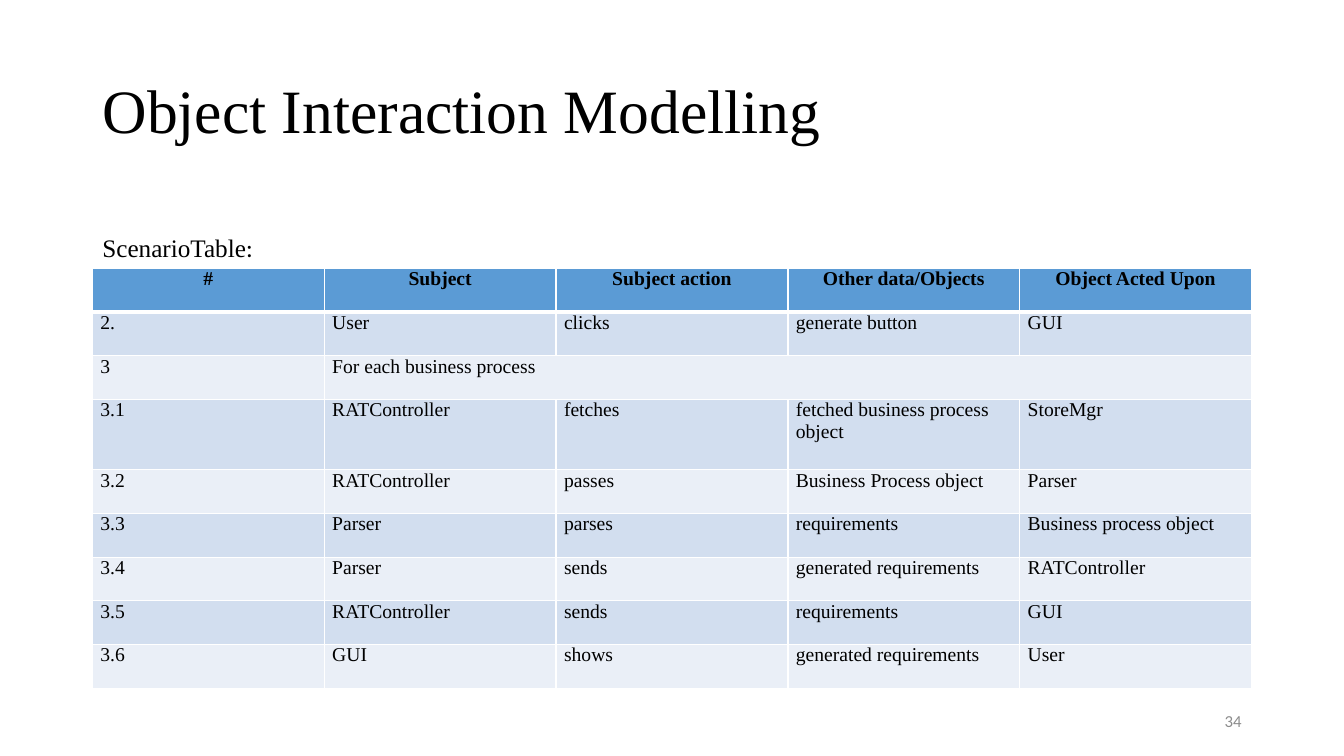
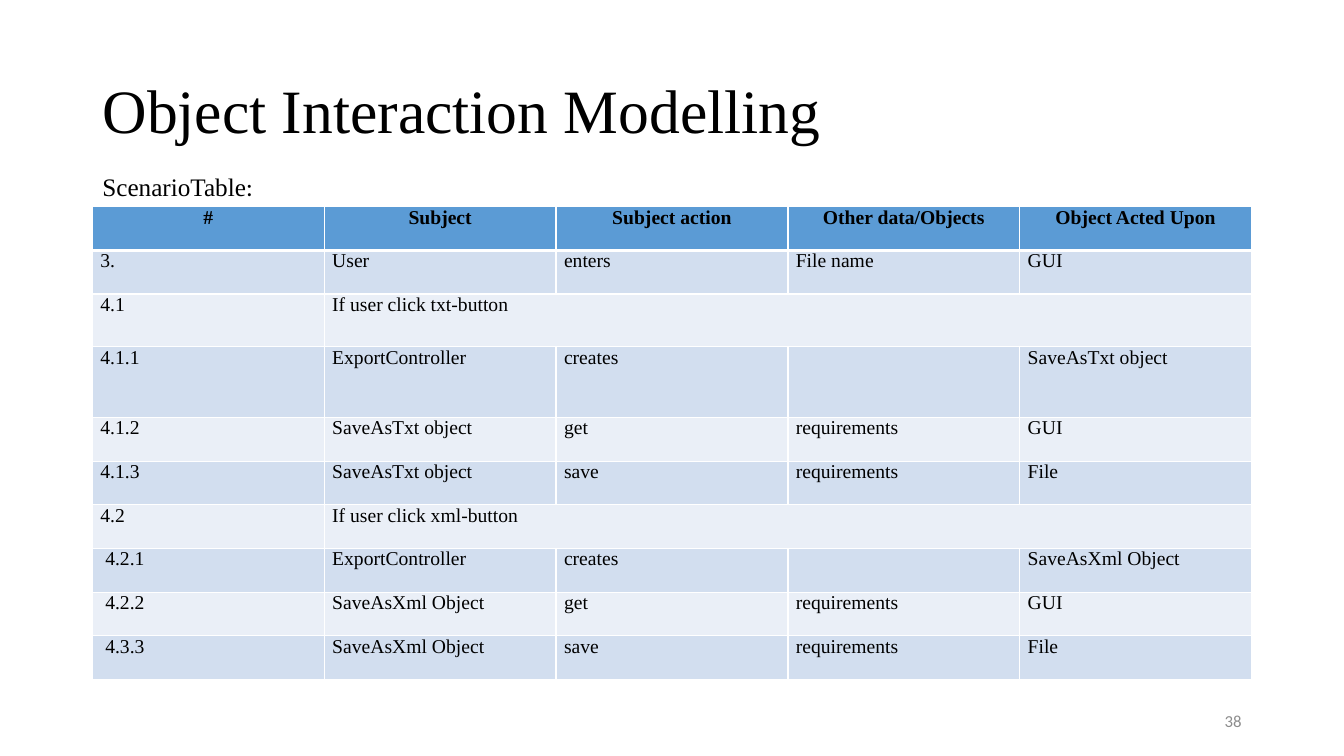
"""Build two slides that show scenario tables for object interaction modelling."""
from dataclasses import dataclass

from lxml.etree import SubElement
from pptx import Presentation
from pptx.dml.color import RGBColor
from pptx.enum.text import MSO_ANCHOR, MSO_AUTO_SIZE, PP_ALIGN
from pptx.oxml.ns import qn
from pptx.util import Cm, Pt


@dataclass(frozen=True)
class Theme:
    """Colours, fonts, type sizes and shared measures in centimetres."""
    ink: str = "000000"
    muted: str = "8C8C8C"
    header: str = "5B9BD5"
    bands: tuple = ("D2DEEF", "EAEFF7")
    rule: str = "FFFFFF"
    serif: str = "Times New Roman"
    sans: str = "Calibri"
    title_size: int = 44
    caption_size: int = 18
    cell_size: int = 14
    number_size: int = 12
    left: float = 2.33
    width: float = 29.21
    caption_height: float = 1.02
    row_height: float = 1.1


TITLE = "Object Interaction Modelling"
HEADINGS = ("#", "Subject", "Subject action", "Other data/Objects", "Object Acted Upon")

GENERATE_STEPS = (
    ("2.", "User", "clicks", "generate button", "GUI"),
    ("3", "For each business process"),
    ("3.1", "RATController", "fetches", "fetched business process object", "StoreMgr"),
    ("3.2", "RATController", "passes", "Business Process object", "Parser"),
    ("3.3", "Parser", "parses", "requirements", "Business process object"),
    ("3.4", "Parser", "sends", "generated requirements", "RATController"),
    ("3.5", "RATController", "sends", "requirements", "GUI"),
    ("3.6", "GUI", "shows", "generated requirements", "User"),
)
EXPORT_STEPS = (
    ("3.", "User", "enters", "File name", "GUI"),
    ("4.1", "If user click txt-button"),
    ("4.1.1", "ExportController", "creates", "", "SaveAsTxt object"),
    ("4.1.2", "SaveAsTxt object", "get", "requirements", "GUI"),
    ("4.1.3", "SaveAsTxt object", "save", "requirements", "File"),
    ("4.2", "If user click xml-button"),
    (" 4.2.1", "ExportController", "creates", "", "SaveAsXml Object"),
    (" 4.2.2", "SaveAsXml Object", "get", "requirements", "GUI"),
    (" 4.3.3", "SaveAsXml Object", "save", "requirements", "File"),
)


class ScenarioDeck:
    """Holds the style and the current page."""

    def __init__(self, theme):
        self.theme = theme
        self.deck = Presentation()
        self.deck.slide_width, self.deck.slide_height = Cm(33.87), Cm(19.05)
        self.page = None

    def add_page(self, title, number):
        """Start a page with its title and page number."""
        theme = self.theme
        self.page = self.deck.slides.add_slide(self.deck.slide_layouts[5])
        box = self.page.shapes.title
        box.left, box.top = Cm(theme.left), Cm(1.01)
        box.width, box.height = Cm(theme.width), Cm(3.68)
        frame = box.text_frame
        frame.auto_size = MSO_AUTO_SIZE.NONE
        frame.vertical_anchor = MSO_ANCHOR.MIDDLE
        para = frame.paragraphs[0]
        para.alignment = PP_ALIGN.LEFT
        para.line_spacing = 0.9
        self.add_span(para, title, theme.title_size)
        para = self.add_box(23.92, 17.66, 7.62, MSO_ANCHOR.MIDDLE)
        para.alignment = PP_ALIGN.RIGHT
        self.add_span(para, number, theme.number_size, theme.sans, theme.muted)

    def add_span(self, para, text, size, font=None, colour=None, bold=False):
        """Add one formatted run to a paragraph."""
        span = para.add_run()
        span.text = text
        span.font.size = Pt(size)
        span.font.name = font or self.theme.serif
        span.font.bold = bold
        span.font.color.rgb = RGBColor.from_string(colour or self.theme.ink)

    def add_box(self, left, top, width, anchor=MSO_ANCHOR.TOP):
        """Add a one-line text box and return its paragraph."""
        box = self.page.shapes.add_textbox(
            Cm(left), Cm(top), Cm(width), Cm(self.theme.caption_height))
        box.text_frame.word_wrap = True
        box.text_frame.vertical_anchor = anchor
        return box.text_frame.paragraphs[0]

    def add_caption(self, top):
        """Add the caption that stands on the table."""
        theme = self.theme
        para = self.add_box(theme.left, top, theme.width)
        self.add_span(para, "ScenarioTable", theme.caption_size)
        self.add_span(para, ":", theme.caption_size, theme.sans)

    def add_table(self, top, steps, tall_rows):
        """Add a scenario table; a two-part step spans the remaining columns."""
        theme = self.theme
        rows = (HEADINGS, *steps)
        heights = [tall_rows.get(row[0], theme.row_height) for row in rows]
        table = self.page.shapes.add_table(
            len(rows), len(HEADINGS), Cm(theme.left), Cm(top),
            Cm(theme.width), Cm(sum(heights))).table
        table.horz_banding = False
        for column in table.columns:
            column.width = Cm(theme.width / len(HEADINGS))
        for index, (texts, height) in enumerate(zip(rows, heights)):
            row = table.rows[index]
            row.height = Cm(height)
            fill = theme.bands[(index - 1) % 2] if index else theme.header
            for cell in row.cells:
                self.style_cell(cell, fill, index)
            for cell, text in zip(row.cells, texts):
                if text:
                    para = cell.text_frame.paragraphs[0]
                    para.alignment = PP_ALIGN.LEFT if index else PP_ALIGN.CENTER
                    self.add_span(para, text, theme.cell_size, bold=index == 0)
            if len(texts) == 2:
                table.cell(index, 1).merge(table.cell(index, len(HEADINGS) - 1))

    def style_cell(self, cell, fill, index):
        """Set margins, borders and fill; a thick rule follows the header."""
        cell.margin_left = cell.margin_right = Cm(0.2)
        cell.margin_top = cell.margin_bottom = 0
        properties = cell._tc.get_or_add_tcPr()
        thick_side = {0: "lnB", 1: "lnT"}.get(index)
        for side in ("lnL", "lnR", "lnT", "lnB"):
            width = Pt(3 if side == thick_side else 1)
            line = SubElement(properties, qn(f"a:{side}"), w=str(width))
            paint = SubElement(line, qn("a:solidFill"))
            SubElement(paint, qn("a:srgbClr"), val=self.theme.rule)
        cell.fill.solid()
        cell.fill.fore_color.rgb = RGBColor.from_string(fill)


def main():
    """Build and save the deck."""
    builder = ScenarioDeck(Theme())
    pages = (
        ("34", 6.76, GENERATE_STEPS, {"3.1": 1.78}),
        ("38", 5.21, EXPORT_STEPS, {"4.1": 1.33, "4.1.1": 1.78}),
    )
    for number, top, steps, tall_rows in pages:
        builder.add_page(TITLE, number)
        builder.add_table(top, steps, tall_rows)
        builder.add_caption(top - builder.theme.caption_height)
    builder.deck.save("out.pptx")


if __name__ == "__main__":
    main()
